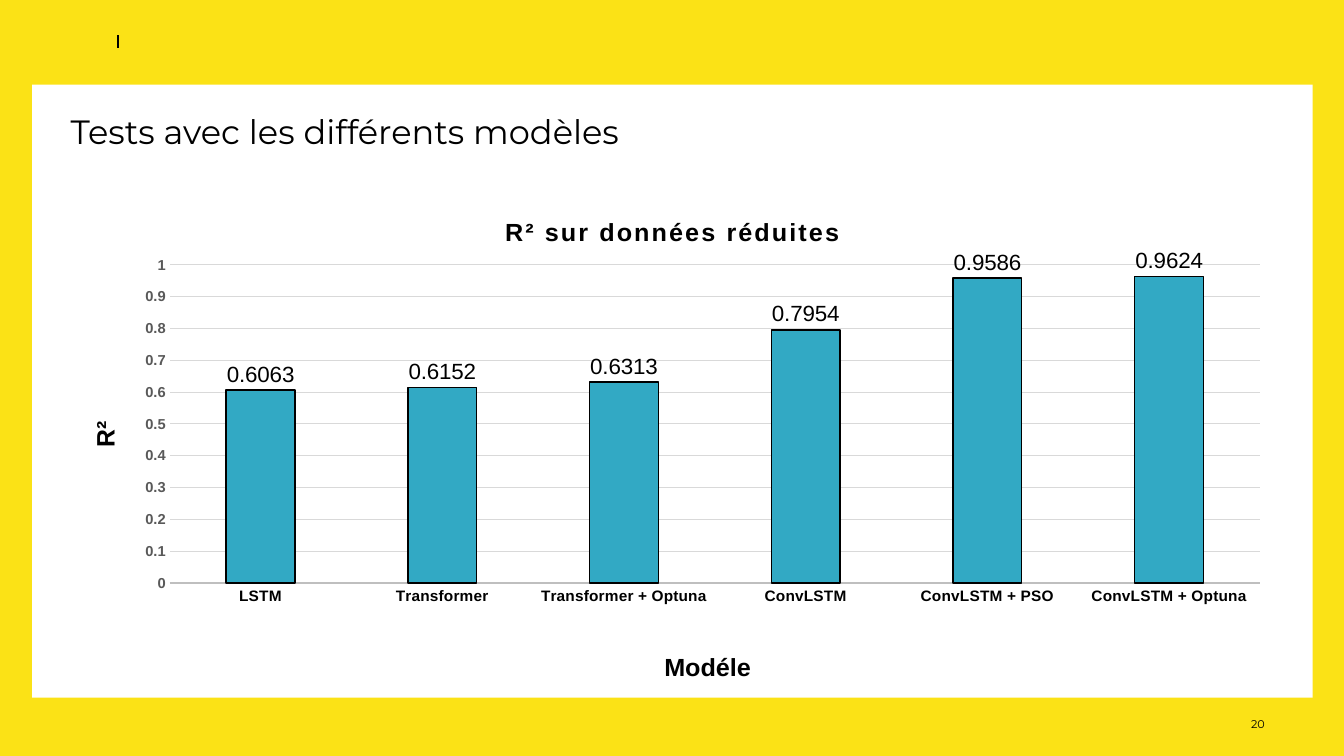
from dataclasses import dataclass

from lxml import etree
from pptx import Presentation
from pptx import util as u
from pptx.chart import data as chart_data
from pptx.dml.color import RGBColor
from pptx.enum import chart as charts
from pptx.enum import shapes, text
from pptx.oxml.ns import qn


@dataclass(frozen=True)
class Theme:
    """Colours, fonts and type sizes of the slide."""
    yellow: str = "FBE216"
    white: str = "FFFFFF"
    black: str = "000000"
    teal: str = "32A9C4"
    grey: str = "595959"
    axis: str = "BFBFBF"
    grid: str = "D9D9D9"
    heading_font: str = "Montserrat"
    chart_font: str = "Arial"
    heading: float = 24
    chart_title: float = 18
    value_label: float = 16
    category: float = 11
    scale: float = 10.5
    page: float = 8


THEME = Theme()
SCORES = {
    "LSTM": 0.6063,
    "Transformer": 0.6152,
    "Transformer + Optuna": 0.6313,
    "ConvLSTM": 0.7954,
    "ConvLSTM + PSO": 0.9586,
    "ConvLSTM + Optuna": 0.9624,
}


def style_font(font, name, size, color, bold=False):
    """Set the face, size, colour and weight of a font."""
    font.name, font.size, font.bold = name, u.Pt(size), bold
    font.color.rgb = RGBColor.from_string(color)


def style_line(line, color, width):
    """Set the colour and width of a line."""
    line.color.rgb = RGBColor.from_string(color)
    line.width = u.Pt(width)


def add_panel(slide, box, color):
    """Draw a plain filled rectangle."""
    panel = slide.shapes.add_shape(shapes.MSO_SHAPE.RECTANGLE, *map(u.Inches, box))
    panel.shadow.inherit = False
    panel.fill.solid()
    panel.fill.fore_color.rgb = RGBColor.from_string(color)
    panel.line.fill.background()


def add_frame(slide, box):
    """Draw the yellow frame, its header tick and the white panel."""
    left, top, width, height = box
    add_panel(slide, box, THEME.yellow)
    tick_left = u.Inches(left + 1.17)
    tick = slide.shapes.add_connector(
        shapes.MSO_CONNECTOR.STRAIGHT,
        tick_left, u.Inches(top + 0.35), tick_left, u.Inches(top + 0.48))
    style_line(tick.line, THEME.black, 1)
    etree.SubElement(tick.element.spPr, qn("a:effectLst"))
    add_panel(slide, (left + 0.32, top + 0.84, width - 0.63, height - 1.42), THEME.white)


def add_page_number(slide, box, number):
    """Write the page number."""
    frame = slide.shapes.add_textbox(*map(u.Inches, box)).text_frame
    frame.word_wrap = True
    frame.text = number
    style_font(frame.paragraphs[0].font, THEME.heading_font, THEME.page, THEME.black)


def add_heading(slide, box, heading):
    """Place the title placeholder in front of the frame."""
    title = slide.shapes.title
    title.left, title.top, title.width, title.height = map(u.Inches, box)
    title.element.getparent().append(title.element)
    frame = title.text_frame
    frame.text = heading
    frame.vertical_anchor = text.MSO_ANCHOR.TOP
    paragraph = frame.paragraphs[0]
    paragraph.alignment = text.PP_ALIGN.LEFT
    paragraph.line_spacing = 0.9
    style_font(paragraph.font, THEME.heading_font, THEME.heading, THEME.black)


def set_layout(element, index, **settings):
    """Give a chart part a manual layout in fractions of the chart."""
    for old in element.findall(qn("c:layout")):
        element.remove(old)
    layout = etree.Element(qn("c:layout"))
    element.insert(index, layout)
    manual = etree.SubElement(layout, qn("c:manualLayout"))
    for name, value in settings.items():
        etree.SubElement(manual, qn(f"c:{name}")).set("val", str(value))


def write_chart_title(title, wording, x, y, rotation=0, spacing=0):
    """Write and place the title of a chart or an axis."""
    title.text_frame.text = wording
    font = title.text_frame.paragraphs[0].font
    style_font(font, THEME.chart_font, THEME.chart_title, THEME.black, True)
    element = title._element
    element.find(".//" + qn("a:bodyPr")).set("rot", str(rotation * 60000))
    for properties in element.iter(qn("a:defRPr")):
        properties.set("spc", str(spacing))
    set_layout(element, 1, xMode="edge", yMode="edge", x=x, y=y)


def style_axes(chart):
    """Format both axes and the gridlines."""
    category, value = chart.category_axis, chart.value_axis
    for axis in (category, value):
        axis.major_tick_mark = axis.minor_tick_mark = charts.XL_TICK_MARK.NONE
    style_font(category.tick_labels.font, THEME.chart_font, THEME.category, THEME.black, True)
    style_font(value.tick_labels.font, THEME.chart_font, THEME.scale, THEME.grey, True)
    style_line(category.format.line, THEME.axis, 1.5)
    value.format.line.fill.background()
    value.minimum_scale, value.maximum_scale, value.major_unit = 0, 1, 0.1
    value.tick_labels.number_format = "General"
    value.tick_labels.number_format_is_linked = False
    style_line(value.major_gridlines.format.line, THEME.grid, 0.75)
    write_chart_title(category.axis_title, "Modéle", 0.49, 0.93)
    write_chart_title(value.axis_title, "R²", 0.02, 0.46, rotation=-90)


def add_score_chart(slide, box, name):
    """Draw the column chart of the model scores."""
    scores = chart_data.CategoryChartData()
    scores.categories = list(SCORES)
    scores.add_series(name, list(SCORES.values()))
    chart = slide.shapes.add_chart(
        charts.XL_CHART_TYPE.COLUMN_CLUSTERED, *map(u.Inches, box), scores).chart
    style_font(chart.font, THEME.chart_font, 10, THEME.black)
    chart.has_legend = False
    chart.has_title = True
    write_chart_title(chart.chart_title, name, 0.36, 0.04, spacing=150)
    style_axes(chart)
    plot = chart.plots[0]
    plot.vary_by_categories = False
    plot.gap_width, plot.overlap = 164, -22
    columns = plot.series[0]
    columns.format.fill.solid()
    columns.format.fill.fore_color.rgb = RGBColor.from_string(THEME.teal)
    style_line(columns.format.line, THEME.black, 1)
    labels = columns.data_labels
    labels.show_value = True
    labels.position = charts.XL_LABEL_POSITION.OUTSIDE_END
    style_font(labels.font, THEME.chart_font, THEME.value_label, THEME.black)
    set_layout(chart._chartSpace.chart.plotArea, 0, layoutTarget="inner",
               xMode="edge", yMode="edge", x=0.09, y=0.15, w=0.89, h=0.65)


def main():
    """Build and save the slide."""
    presentation = Presentation()
    presentation.slide_width = u.Inches(13.33)
    presentation.slide_height = u.Inches(7.5)
    slide = presentation.slides.add_slide(presentation.slide_layouts[5])
    add_frame(slide, (0, 0, 13.33, 7.5))
    add_page_number(slide, (12.31, 7.07, 0.82, 0.27), "20")
    add_heading(slide, (0.6, 1.1, 12.15, 0.8), "Tests avec les différents modèles")
    add_score_chart(slide, (0.59, 1.9, 12.15, 4.94), "R² sur données réduites")
    presentation.save("out.pptx")


if __name__ == "__main__":
    main()
